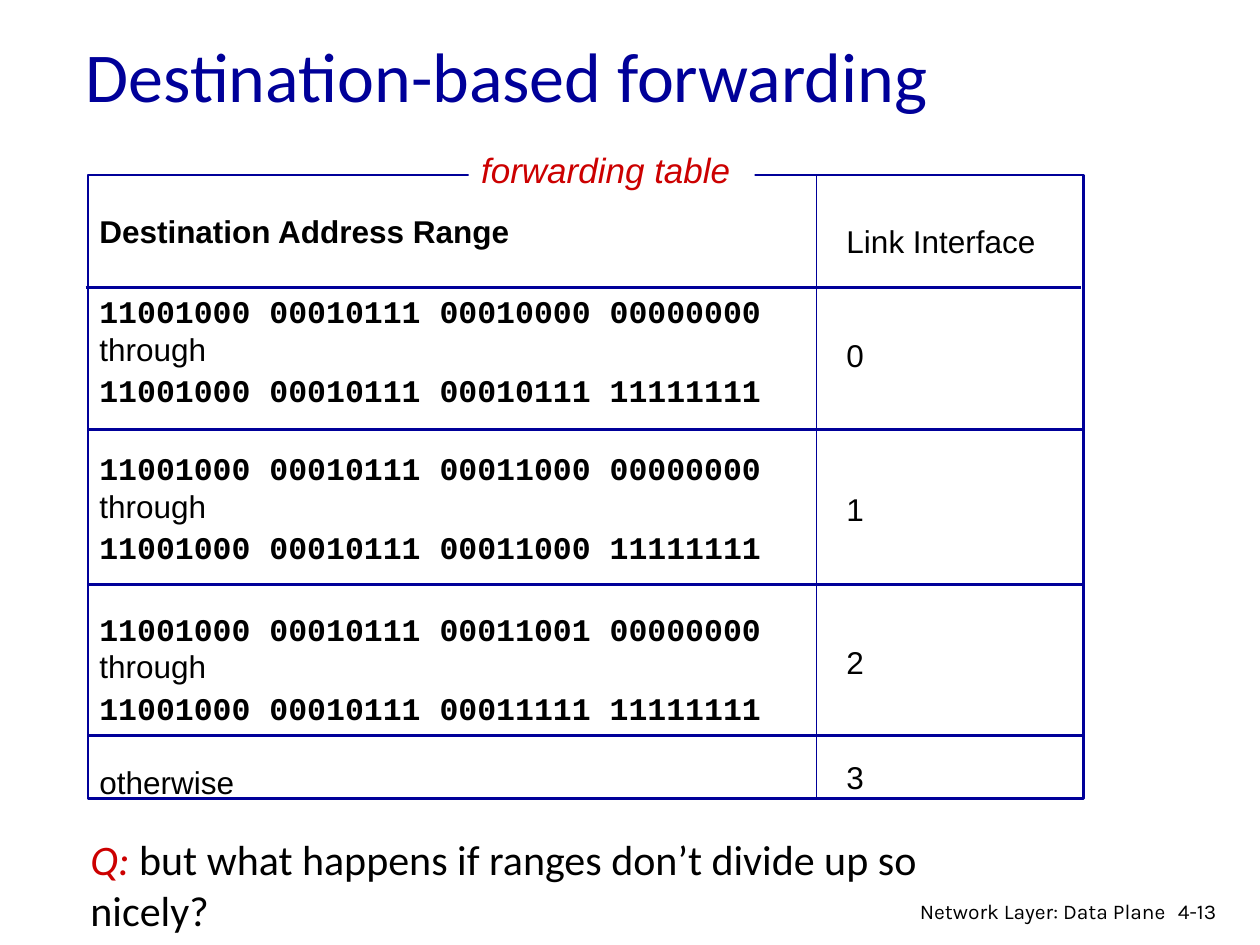
from lxml import etree
from pptx import Presentation
from pptx.dml.color import RGBColor
from pptx.enum.shapes import MSO_CONNECTOR, MSO_SHAPE
from pptx.enum.text import MSO_ANCHOR, PP_ALIGN
from pptx.oxml.ns import qn
from pptx.util import Inches, Pt

LEFT, RIGHT = PP_ALIGN.LEFT, PP_ALIGN.RIGHT
TOP, MIDDLE = MSO_ANCHOR.TOP, MSO_ANCHOR.MIDDLE
RECTANGLE = MSO_SHAPE.RECTANGLE
STRAIGHT = MSO_CONNECTOR.STRAIGHT
NAVY, RED, BLACK, WHITE = "000099", "CC0000", "000000", "FFFFFF"
TITLE_ONLY = 5


def color(value):
    return RGBColor.from_string(value)


def add_text(para, text, size=18, font="Arial", fill=BLACK, bold=False, italic=False):
    span = para.add_run()
    span.text = text
    span.font.size = Pt(size)
    span.font.name = font
    span.font.bold = bold
    span.font.italic = italic
    span.font.color.rgb = color(fill)


class SlideBuilder:
    def __init__(self, deck):
        self.slide = deck.slides.add_slide(deck.slide_layouts[TITLE_ONLY])

    def fill_frame(self, frame, lines, align=LEFT, anchor=TOP):
        """Write lines, each a pair of space before (points) and styled spans."""
        frame.word_wrap = True
        frame.vertical_anchor = anchor
        for index, (gap, spans) in enumerate(lines):
            para = frame.add_paragraph() if index else frame.paragraphs[0]
            para.alignment = align
            para.space_before = Pt(gap)
            for text, style in spans:
                add_text(para, text, **style)

    def title(self, text, left, top, width, height):
        title = self.slide.shapes.title
        title.left, title.top = Inches(left), Inches(top)
        title.width, title.height = Inches(width), Inches(height)
        style = dict(size=40, font="Calibri", fill=NAVY)
        self.fill_frame(title.text_frame, [(0, [(text, style)])], anchor=MIDDLE)

    def text(self, lines, left, top, width, height, align=LEFT, anchor=TOP):
        box = self.slide.shapes.add_textbox(
            Inches(left), Inches(top), Inches(width), Inches(height))
        self.fill_frame(box.text_frame, lines, align, anchor)

    def rectangle(self, left, top, width, height, fill=None, line=None, lines=()):
        shape = self.slide.shapes.add_shape(
            RECTANGLE, Inches(left), Inches(top), Inches(width), Inches(height))
        shape.shadow.inherit = False
        if fill:
            shape.fill.solid()
            shape.fill.fore_color.rgb = color(fill)
        else:
            shape.fill.background()
        if line:
            shape.line.color.rgb = color(line)
            shape.line.width = Pt(1.5)
        else:
            shape.line.fill.background()
        self.fill_frame(shape.text_frame, lines)

    def rule(self, start, end, width=1.5):
        rule = self.slide.shapes.add_connector(
            STRAIGHT, *(Inches(value) for value in (*start, *end)))
        rule.line.color.rgb = color(NAVY)
        rule.line.width = Pt(width)
        etree.SubElement(rule._element.spPr, qn("a:effectLst"))


def address_range(gap, first, final):
    code = dict(font="Courier New", bold=True)
    prefix = "11001000 00010111"
    return [(gap, [(f"{prefix} {first}", code)]),
            (0, [("through", {})]),
            (2, [(f"{prefix} {final}", code)])]


def main():
    deck = Presentation()
    deck.slide_width, deck.slide_height = Inches(10), Inches(7.5)
    builder = SlideBuilder(deck)
    builder.title("Destination-based forwarding", 0.58, 0.12, 6.98, 0.94)

    # Address ranges
    ranges = [
        (0, [("Destination Address Range", dict(bold=True))]),
        *address_range(24, "00010000 00000000", "00010111 11111111"),
        *address_range(23, "00011000 00000000", "00011000 11111111"),
        *address_range(25, "00011001 00000000", "00011111 11111111"),
        (21, [("otherwise", {})]),
    ]
    builder.text(ranges, 0.69, 1.7, 5.73, 4.64, anchor=MIDDLE)

    # Link interfaces
    links = [(0, [("Link Interface", {})])]
    links += [(gap, [(str(link), {})]) for link, gap in enumerate((44, 66, 66, 44))]
    builder.text(links, 6.62, 1.71, 1.7, 4.91)

    # Frame and rules of the forwarding table
    builder.rectangle(0.7, 1.39, 7.9, 4.95, line=NAVY)
    for left, y in ((0.68, 2.28), (0.71, 3.41), (0.71, 4.64), (0.7, 5.84)):
        builder.rule((left, y), (left + 7.9, y))
    builder.rule((6.48, 1.4), (6.48, 6.34), width=1)

    # Caption set into the top border
    caption = dict(size=20, fill=RED, italic=True)
    builder.rectangle(3.72, 1.13, 2.27, 0.44, fill=WHITE,
                      lines=[(0, [("forwarding table", caption)])])

    # Question
    question = dict(size=24, font="Calibri")
    spans = [("Q:", dict(question, fill=RED, italic=True)),
             (" but what happens if ranges don’t divide up so nicely?", question)]
    builder.text([(0, spans)], 0.62, 6.57, 7.74, 0.5)

    # Footer
    footer = dict(size=12, font="Karla")
    builder.text([(0, [("4-13", footer)])], 9.25, 7.08, 0.61, 0.3)
    builder.text([(0, [("Network Layer: Data Plane", footer)])],
                 6.97, 7.08, 2.38, 0.26, RIGHT)

    deck.save("out.pptx")


if __name__ == "__main__":
    main()
